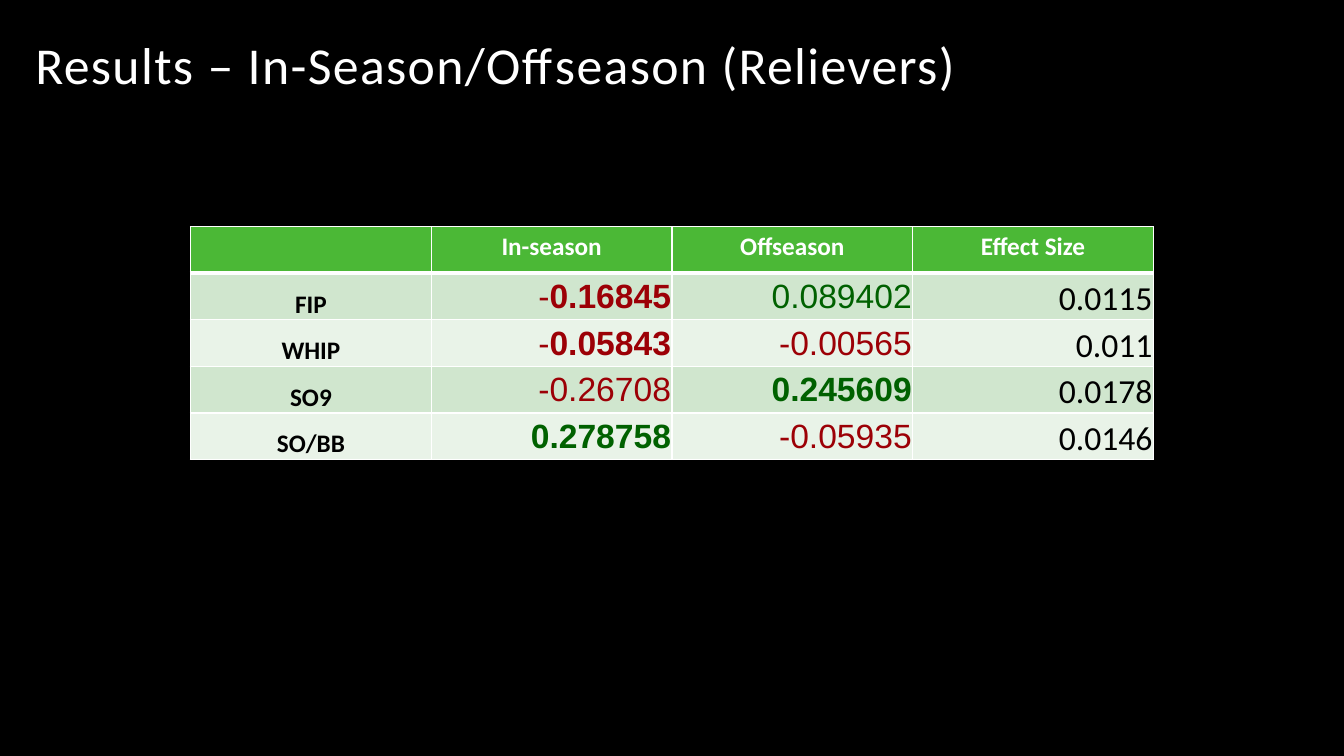
from lxml import etree
from pptx import Presentation
from pptx import util as u
from pptx.dml.color import RGBColor
from pptx.enum import text as t
from pptx.oxml import ns

BLACK = RGBColor(0x00, 0x00, 0x00)
WHITE = RGBColor(0xFF, 0xFF, 0xFF)
GREEN = RGBColor(0x4B, 0xB8, 0x36)
BANDS = [RGBColor(0xD0, 0xE6, 0xCE), RGBColor(0xE9, 0xF3, 0xE8)]
GAIN = RGBColor(0x00, 0x61, 0x00)
LOSS = RGBColor(0x9C, 0x00, 0x06)

HEADS = ["", "In-season", "Offseason", "Effect Size"]
STATS = [
    ("FIP", "-0.16845", "0.089402", "0.0115"),
    ("WHIP", "-0.05843", "-0.00565", "0.011"),
    ("SO9", "-0.26708", "0.245609", "0.0178"),
    ("SO/BB", "0.278758", "-0.05935", "0.0146"),
]
STRONG = {"-0.16845", "-0.05843", "0.245609", "0.278758"}


def write(para, words, size=18, face="Calibri", color=BLACK, bold=False, align=None):
    run = para.add_run()
    run.text = words
    font = run.font
    font.size, font.name, font.bold = u.Pt(size), face, bold
    font.color.rgb = color
    if align is not None:
        para.alignment = align
    return run


def edge(cell, low=1):
    """Draw white borders round a cell; low is the width of the bottom one."""
    props = cell._tc.get_or_add_tcPr()
    for side, width in (("L", 1), ("R", 1), ("T", 1), ("B", low)):
        line = etree.SubElement(props, ns.qn("a:ln" + side), w=str(u.Pt(width)))
        fill = etree.SubElement(line, ns.qn("a:solidFill"))
        etree.SubElement(fill, ns.qn("a:srgbClr"), val=str(WHITE))


def paint(cell, color, low=1):
    edge(cell, low)
    cell.fill.solid()
    cell.fill.fore_color.rgb = color


def score(para, value):
    """Write a change, coloured by its sign; a minus sign is never bold."""
    style = dict(size=24, face="Arial", align=t.PP_ALIGN.RIGHT,
                 color=LOSS if value.startswith("-") else GAIN)
    if value in STRONG and value.startswith("-"):
        write(para, "-", **style)
        value = value[1:]
        write(para, value, bold=True, **style)
    else:
        write(para, value, bold=value in STRONG, **style)


def add_title(slide, words, left, top, width, height):
    title = slide.shapes.title
    title.left, title.top = u.Inches(left), u.Inches(top)
    title.width, title.height = u.Inches(width), u.Inches(height)
    frame = title.text_frame
    frame.word_wrap = True
    frame.auto_size = t.MSO_AUTO_SIZE.NONE
    frame.vertical_anchor = t.MSO_ANCHOR.BOTTOM
    para = frame.paragraphs[0]
    para.line_spacing = 0.9
    run = write(para, words, size=37, color=WHITE, align=t.PP_ALIGN.LEFT)
    run.font._element.set("spc", "100")


def fill_row(table, row, stats):
    for col, value in enumerate(stats):
        cell = table.cell(row, col)
        paint(cell, BANDS[(row - 1) % 2])
        cell.margin_left = cell.margin_right = cell.margin_top = u.Inches(0.01)
        cell.margin_bottom = 0
        cell.vertical_anchor = t.MSO_ANCHOR.BOTTOM
        para = cell.text_frame.paragraphs[0]
        if col == 0:
            write(para, value, bold=True, align=t.PP_ALIGN.CENTER)
        elif col == 3:
            write(para, value, size=24, align=t.PP_ALIGN.RIGHT)
        else:
            cell.vertical_anchor = t.MSO_ANCHOR.MIDDLE
            score(para, value)


def add_stats(slide, left, top, width, height):
    box = [u.Inches(n) for n in (left, top, width, height)]
    table = slide.shapes.add_table(len(STATS) + 1, len(HEADS), *box).table
    for col in table.columns:
        col.width = u.Inches(width / len(HEADS))
    for row in table.rows:
        row.height = u.Inches(height / (len(STATS) + 1))
    for col, head in enumerate(HEADS):
        cell = table.cell(0, col)
        paint(cell, GREEN, low=3)
        if head:
            write(cell.text_frame.paragraphs[0], head, color=WHITE, bold=True,
                  align=t.PP_ALIGN.CENTER)
    for row, stats in enumerate(STATS, 1):
        fill_row(table, row, stats)


def main():
    deck = Presentation()
    deck.slide_width, deck.slide_height = u.Inches(13.33), u.Inches(7.5)
    slide = deck.slides.add_slide(deck.slide_layouts[5])
    slide.background.fill.solid()
    slide.background.fill.fore_color.rgb = BLACK
    add_title(slide, "Results – In-Season/Offseason (Relievers)", 0.25, 0.25, 10, 0.75)
    add_stats(slide, 1.89, 2.25, 9.55, 2.31)
    deck.save("out.pptx")


if __name__ == "__main__":
    main()
